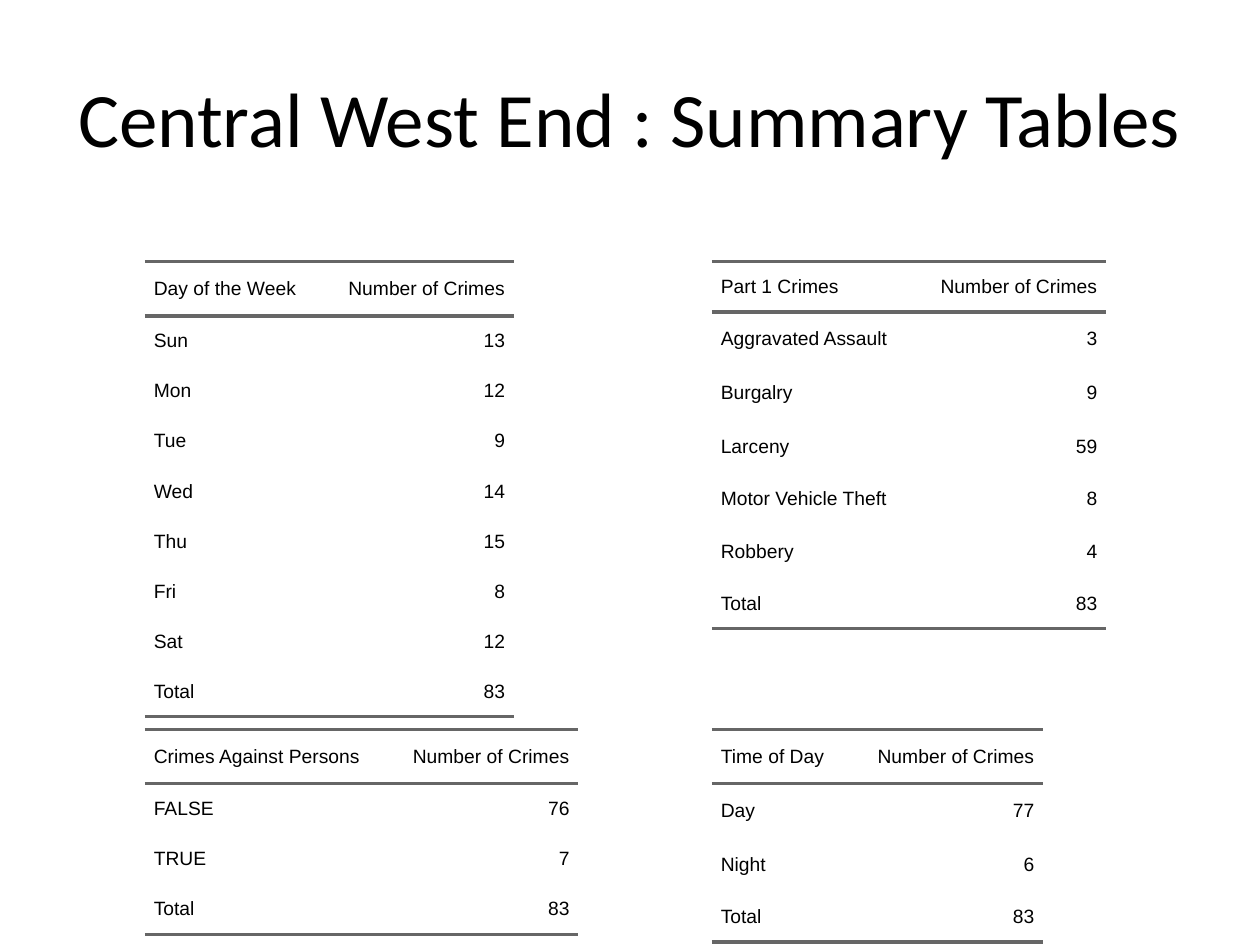
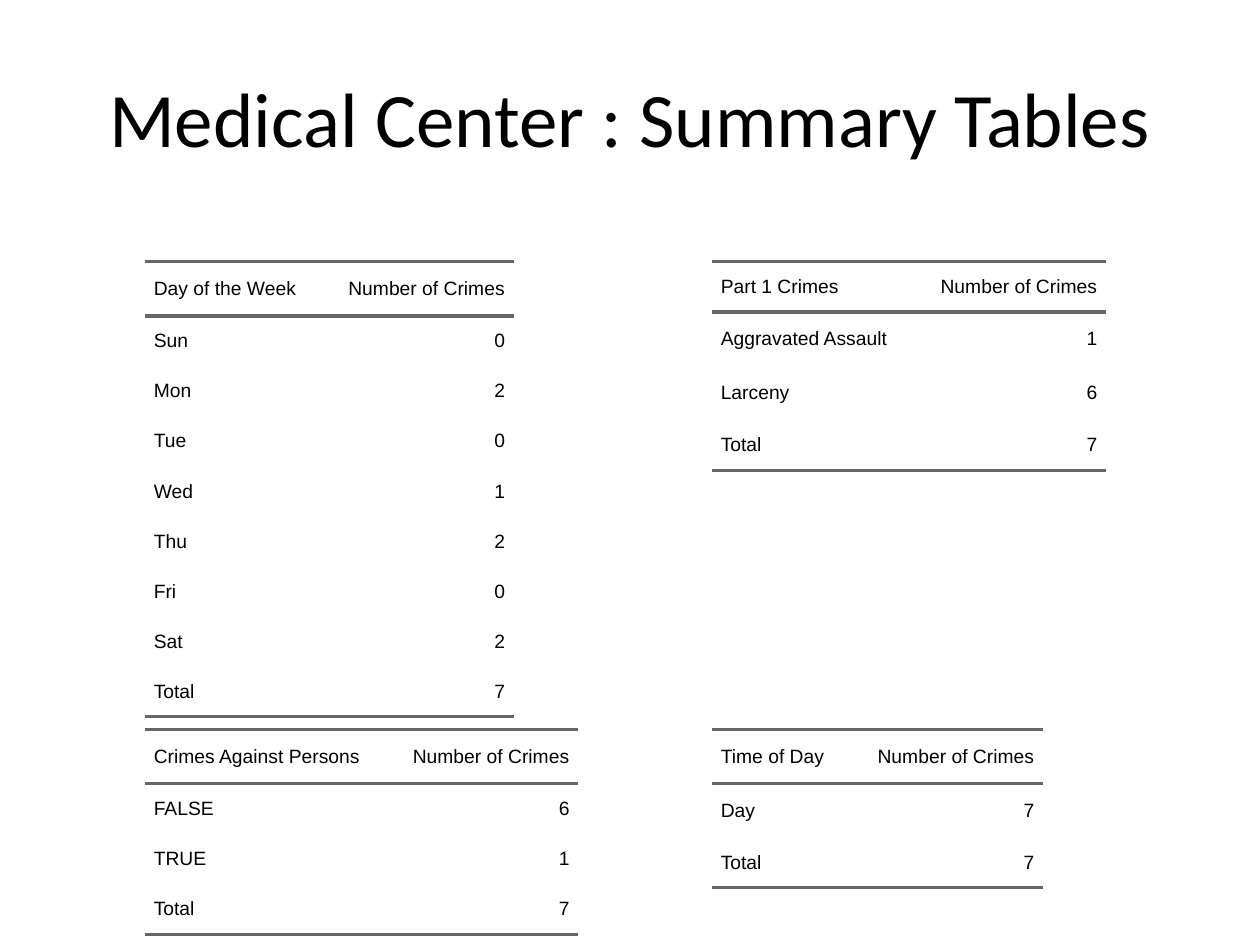
from dataclasses import dataclass

from pptx import Presentation
from pptx.dml.color import RGBColor
from pptx.enum import text
from pptx.oxml.ns import qn
from pptx.util import Cm, Length, Pt
from lxml import etree

# Shared style
BLACK = RGBColor(0x00, 0x00, 0x00)
RULE_GREY = RGBColor(0x66, 0x66, 0x66)
TITLE_FONT, TABLE_FONT = "Calibri", "Arial"
RULE_WIDTH = Pt(2)
TEXT_MARGIN = Cm(0.18)

# Grid: two columns and two rows of tables
LEFT, RIGHT = Cm(2.92), Cm(14.35)
UPPER, LOWER = Cm(5.28), Cm(14.71)
COUNT_WIDTH = Cm(3.86)
ROW_HEIGHT, TALL_ROW_HEIGHT = Cm(1.01), Cm(1.09)
TALL_ROWS = {
    "Day of the Week", "Crimes Against Persons", "Time of Day", "Day", "Night",
    "Aggravated Assault", "Burgalry", "Larceny", "Robbery",
}


@dataclass(frozen=True)
class TablePlace:
    heading: str
    left: Length
    top: Length
    label_width: Length


@dataclass(frozen=True)
class Summary:
    area: str
    counts: dict[str, dict[str, int]]


TABLE_PLACES = [
    TablePlace("Part 1 Crimes", RIGHT, UPPER, Cm(4.09)),
    TablePlace("Day of the Week", LEFT, UPPER, Cm(3.58)),
    TablePlace("Crimes Against Persons", LEFT, LOWER, Cm(4.88)),
    TablePlace("Time of Day", RIGHT, LOWER, Cm(2.82)),
]

DAYS = ["Sun", "Mon", "Tue", "Wed", "Thu", "Fri", "Sat"]

SUMMARIES = [
    Summary("Central West End", {
        "Part 1 Crimes": {"Aggravated Assault": 3, "Burgalry": 9, "Larceny": 59,
                          "Motor Vehicle Theft": 8, "Robbery": 4},
        "Day of the Week": dict(zip(DAYS, [13, 12, 9, 14, 15, 8, 12])),
        "Crimes Against Persons": {"FALSE": 76, "TRUE": 7},
        "Time of Day": {"Day": 77, "Night": 6},
    }),
    Summary("Medical Center", {
        "Part 1 Crimes": {"Aggravated Assault": 1, "Larceny": 6},
        "Day of the Week": dict(zip(DAYS, [0, 2, 0, 1, 2, 0, 2])),
        "Crimes Against Persons": {"FALSE": 6, "TRUE": 1},
        "Time of Day": {"Day": 7},
    }),
]


def add_title(slide, title_text: str) -> None:
    title = slide.shapes.title
    title.left, title.top, title.width, title.height = Cm(1.27), Cm(0.76), Cm(22.86), Cm(3.18)
    title.text_frame.vertical_anchor = text.MSO_ANCHOR.MIDDLE
    paragraph = title.text_frame.paragraphs[0]
    paragraph.alignment = text.PP_ALIGN.CENTER
    add_run(paragraph, title_text, TITLE_FONT, Pt(44))


def add_run(paragraph, words: str, font_name: str, size: Length) -> None:
    run = paragraph.add_run()
    run.text = words
    run.font.name, run.font.size = font_name, size
    run.font.color.rgb = BLACK


def set_borders(cell, ruled_edges: str) -> None:
    """Rule the edges named by T and B and clear the others."""
    properties = cell._tc.get_or_add_tcPr()
    for edge in "LRTB":
        line = etree.SubElement(properties, qn(f"a:ln{edge}"))
        if edge in ruled_edges:
            line.set("w", str(RULE_WIDTH))
            fill = etree.SubElement(line, qn("a:solidFill"))
            etree.SubElement(fill, qn("a:srgbClr")).set("val", str(RULE_GREY))
        else:
            etree.SubElement(line, qn("a:noFill"))


def format_cell(cell, words: str, alignment: text.PP_ALIGN, ruled_edges: str) -> None:
    cell.margin_left = cell.margin_right = cell.margin_top = cell.margin_bottom = 0
    cell.vertical_anchor = text.MSO_ANCHOR.MIDDLE
    set_borders(cell, ruled_edges)
    cell.fill.background()
    paragraph = cell.text_frame.paragraphs[0]
    paragraph.alignment = alignment
    paragraph.space_before = paragraph.space_after = Pt(5)
    paragraph_properties = paragraph._p.get_or_add_pPr()
    for margin in ("marL", "marR"):
        paragraph_properties.set(margin, str(TEXT_MARGIN))
    add_run(paragraph, words, TABLE_FONT, Pt(11))


def add_count_table(slide, place: TablePlace, counts: dict[str, int]) -> None:
    rows = [(place.heading, "Number of Crimes"), *counts.items(),
            ("Total", sum(counts.values()))]
    heights = [TALL_ROW_HEIGHT if label in TALL_ROWS else ROW_HEIGHT for label, _ in rows]
    widths = [place.label_width, COUNT_WIDTH]
    table = slide.shapes.add_table(len(rows), 2, place.left, place.top,
                                   sum(widths), sum(heights)).table
    table.first_row = table.horz_banding = False
    for column, width in zip(table.columns, widths):
        column.width = width

    # Rules run above and below the heading, and below the total
    last = len(rows) - 1
    for index, (label, count) in enumerate(rows):
        table.rows[index].height = heights[index]
        edges = {0: "TB", 1: "T", last: "B"}.get(index, "")
        format_cell(table.cell(index, 0), label, text.PP_ALIGN.LEFT, edges)
        format_cell(table.cell(index, 1), str(count), text.PP_ALIGN.RIGHT, edges)


def main() -> None:
    presentation = Presentation()
    presentation.slide_width, presentation.slide_height = Cm(25.4), Cm(19.05)
    title_only = presentation.slide_layouts.get_by_name("Title Only")
    for summary in SUMMARIES:
        slide = presentation.slides.add_slide(title_only)
        add_title(slide, f"{summary.area} : Summary Tables")
        for place in TABLE_PLACES:
            add_count_table(slide, place, summary.counts[place.heading])
    presentation.save("out.pptx")


if __name__ == "__main__":
    main()
